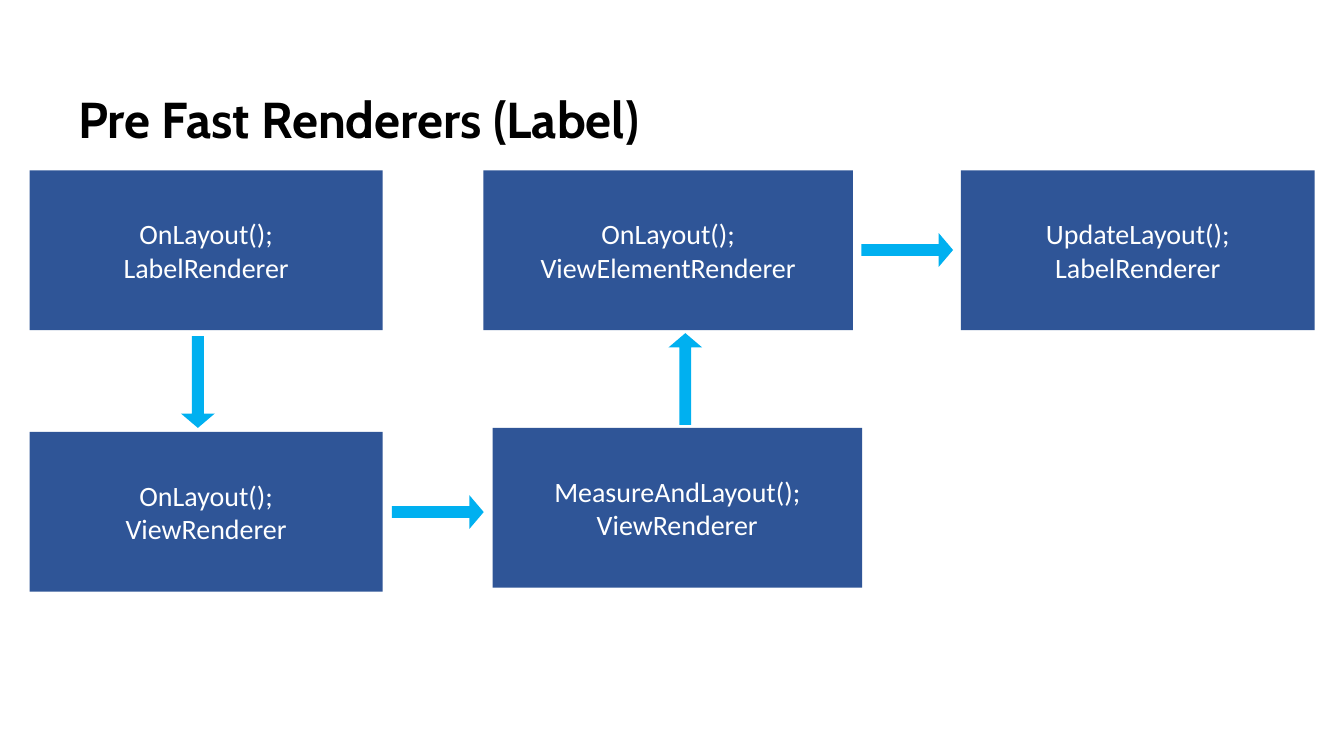
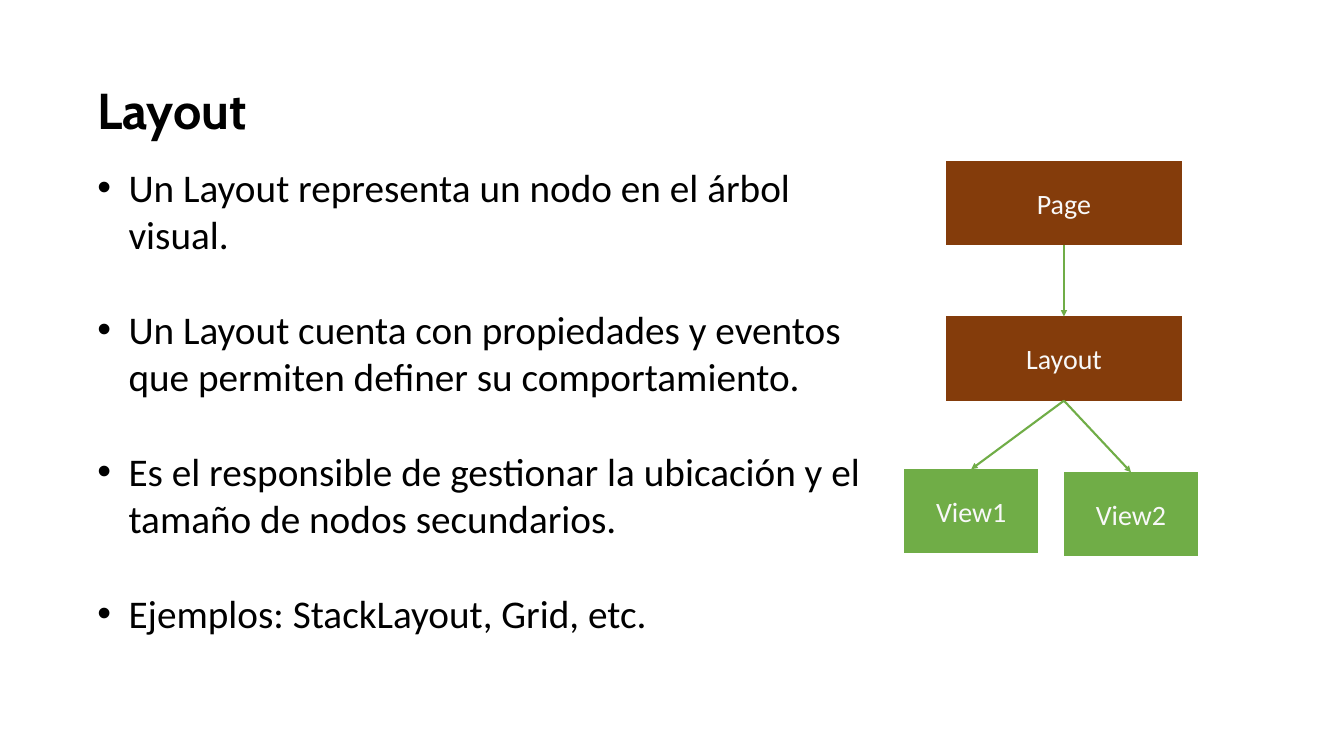
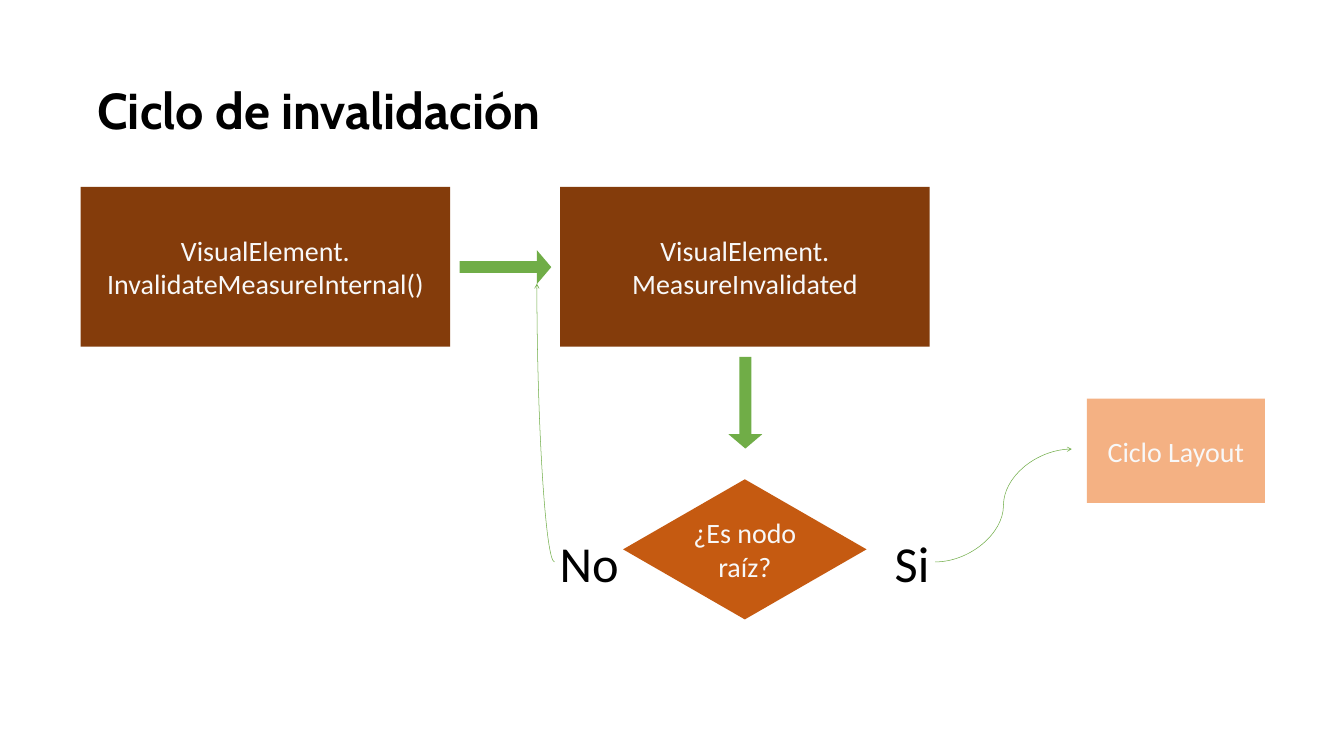
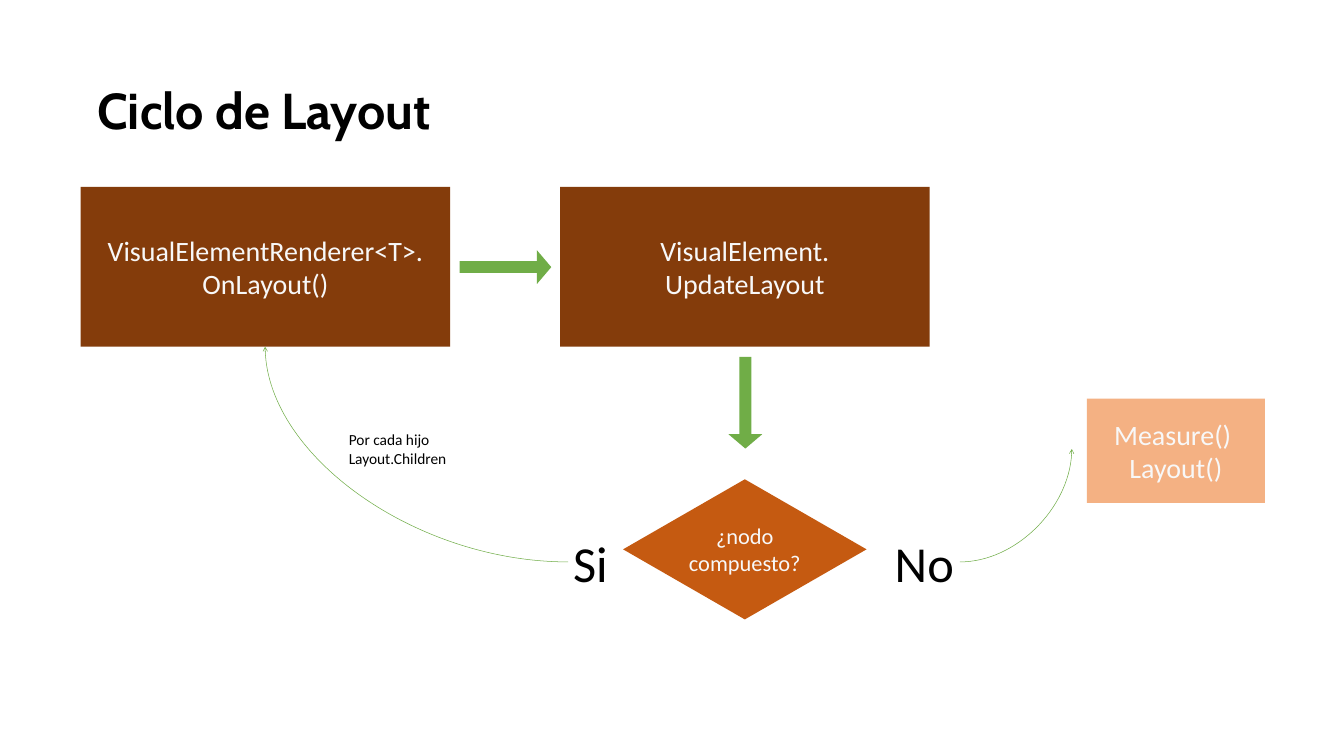
from dataclasses import dataclass

from pptx import Presentation
from pptx import util as u
from pptx.dml.color import RGBColor
from pptx.enum import shapes, text
from pptx.oxml.ns import qn
from lxml import etree

PX = 9144
KIND = shapes.MSO_SHAPE
TURN = {"up": 0, "right": 90, "down": 180}


@dataclass
class Theme:
    head: str = "Cabin"
    body: str = "Calibri"
    ink: str = "000000"
    white: str = "FFFFFF"
    pale: str = "F8F8F8"
    navy: str = "2F5597"
    sky: str = "00B0F0"
    brown: str = "843C0B"
    rust: str = "C55A11"
    peach: str = "F4B183"
    green: str = "70AD47"
    big: int = 72
    list: int = 56
    mid: int = 40
    small: int = 32
    note: int = 22


class Deck:
    def __init__(self, theme):
        self.theme = theme
        self.file = Presentation()
        self.file.slide_width = 2666 * PX
        self.file.slide_height = 1500 * PX
        self.slide = None

    def place(self, item, area):
        item.left, item.top, item.width, item.height = (n * PX for n in area)

    def style(self, frame, size, color, align=None, font=None, bold=False):
        for para in frame.paragraphs:
            para.alignment = align
            for run in para.runs:
                run.font.name = font or self.theme.body
                run.font.size = u.Pt(size)
                run.font.bold = bold
                run.font.color.rgb = RGBColor.from_string(color)

    def page(self, title, area=(183, 80, 2300, 290), layout=5):
        self.slide = self.file.slides.add_slide(self.file.slide_layouts[layout])
        head = self.slide.shapes.title
        self.place(head, area)
        frame = head.text_frame
        frame.text = title
        frame.auto_size = text.MSO_AUTO_SIZE.NONE
        frame.vertical_anchor = text.MSO_ANCHOR.MIDDLE
        frame.paragraphs[0].line_spacing = 0.9
        self.style(frame, self.theme.big, self.theme.ink,
                   text.PP_ALIGN.LEFT, self.theme.head, True)

    def items(self, lines, area):
        body = self.slide.placeholders[1]
        self.place(body, area)
        frame = body.text_frame
        frame.text = "\n".join(lines)
        frame.auto_size = text.MSO_AUTO_SIZE.NONE
        for i, para in enumerate(frame.paragraphs):
            props = para._p.get_or_add_pPr()
            props.set("marL", str(62 * PX))
            props.set("indent", str(-62 * PX))
            para.space_before = u.Pt(68.4 if i else 0)
        self.style(frame, self.theme.list, self.theme.ink, text.PP_ALIGN.LEFT)

    def shape(self, kind, area, fill):
        item = self.slide.shapes.add_shape(kind, *(n * PX for n in area))
        item.shadow.inherit = False
        item.fill.solid()
        item.fill.fore_color.rgb = RGBColor.from_string(fill)
        item.line.fill.background()
        return item

    def box(self, words, area, fill, color=None, kind=KIND.RECTANGLE, size=None):
        item = self.shape(kind, area, fill)
        frame = item.text_frame
        frame.margin_left = frame.margin_right = 0
        frame.margin_top = frame.margin_bottom = 10 * PX
        frame.word_wrap = True
        frame.vertical_anchor = text.MSO_ANCHOR.MIDDLE
        frame.text = words
        self.style(frame, size or self.theme.mid, color or self.theme.pale,
                   text.PP_ALIGN.CENTER)
        return item

    def arrow(self, left, top, way, fill):
        item = self.shape(KIND.UP_ARROW, (left, top, 67, 182), fill)
        item.adjustments[0] = 0.35
        item.adjustments[1] = 0.425
        item.rotation = TURN[way]

    def label(self, words, area, size, wrap=False):
        item = self.slide.shapes.add_textbox(*(n * PX for n in area))
        frame = item.text_frame
        frame.word_wrap = wrap
        frame.text = words
        self.style(frame, size, self.theme.ink)

    def wire(self, kind, ends, width, tip):
        line = self.slide.shapes.add_connector(kind, *(n * PX for n in ends))
        line.line.color.rgb = RGBColor.from_string(self.theme.green)
        line.line.width = u.Pt(width)
        etree.SubElement(line.line._get_or_add_ln(), qn("a:tailEnd"), type=tip)
        etree.SubElement(line._element.spPr, qn("a:effectLst"))
        return line

    def link(self, top, low):
        line = self.wire(shapes.MSO_CONNECTOR.STRAIGHT, (0, 0, 0, 0), 3, "triangle")
        line.begin_connect(top, 2)
        line.end_connect(low, 0)

    def curve(self, ends, bend=True):
        line = self.wire(shapes.MSO_CONNECTOR.CURVE, ends, 0.75, "arrow")
        if bend:
            line._element.spPr.find(qn("a:prstGeom")).set("prst", "curvedConnector2")


def render(deck):
    t = deck.theme
    deck.page("Pre Fast Renderers (Label)", (145, 144, 2549, 197))
    for words, left, top, width in (
        ("OnLayout();\nLabelRenderer", 59, 338, 700),
        ("OnLayout();\nViewRenderer", 59, 857, 700),
        ("MeasureAndLayout();\nViewRenderer", 977, 849, 733),
        ("OnLayout();\nViewElementRenderer", 959, 338, 733),
        ("UpdateLayout();\nLabelRenderer", 1906, 338, 702),
    ):
        deck.box(words, (left, top, width, 317), t.navy, t.white)
    for left, top, way in ((359, 667, "down"), (835, 925, "right"),
                           (1326, 661, "up"), (1766, 405, "right")):
        deck.arrow(left, top, way, t.sky)


def tree(deck):
    t = deck.theme
    deck.page("Layout", layout=1)
    deck.items((
        "Un Layout representa un nodo en el árbol visual.",
        "Un Layout cuenta con propiedades y eventos que permiten definer su comportamiento.",
        "Es el responsible de gestionar la ubicación y el tamaño de nodos secundarios.",
        "Ejemplos: StackLayout, Grid, etc.",
    ), (183, 319, 1545, 1033))
    root, node, one, two = (
        deck.box(words, (left, top, width, 167), fill, kind=KIND.FLOWCHART_PROCESS)
        for words, left, top, width, fill in (
            ("Page", 1877, 319, 467, t.brown),
            ("Layout", 1877, 628, 467, t.brown),
            ("View1", 1793, 931, 267, t.green),
            ("View2", 2110, 937, 267, t.green),
        ))
    for top, low in ((root, node), (node, one), (node, two)):
        deck.link(top, low)


def cycle(deck, title, steps, ask, size, goal, tags):
    t = deck.theme
    deck.page(title)
    for words, left in zip(steps, (160, 1111)):
        deck.box(words, (left, 371, 733, 317), t.brown)
    deck.arrow(969, 439, "right", t.green)
    deck.arrow(1445, 708, "down", t.green)
    deck.box(ask, (1236, 951, 483, 278), t.rust, kind=KIND.FLOWCHART_DECISION, size=size)
    deck.box(goal, (2156, 791, 353, 207), t.peach)
    for words, left, width in tags:
        deck.label(words, (left, 1050, width, 131), t.big)


def main():
    t = Theme()
    deck = Deck(t)
    render(deck)
    tree(deck)

    cycle(deck, "Ciclo de invalidación",
          ("VisualElement.\nInvalidateMeasureInternal()",
           "VisualElement.\nMeasureInvalidated"),
          "¿Es nodo raíz?", t.mid, "Ciclo Layout",
          (("No", 1100, 139), ("Si", 1765, 90)))
    deck.curve((1100, 1115, 1065, 563))
    deck.curve((1855, 1115, 2126, 891), bend=False)

    cycle(deck, "Ciclo de Layout",
          ("VisualElementRenderer<T>.\nOnLayout()",
           "VisualElement.\nUpdateLayout"),
          "¿nodo compuesto?", t.small, "Measure() \vLayout()",
          (("Si", 1127, 90), ("No", 1765, 139)))
    deck.curve((1127, 1115, 526, 688))
    deck.curve((1904, 1115, 2126, 891))
    deck.label("Por cada hijo\nLayout.Children", (682, 849, 254, 84), t.note, True)

    deck.file.save("out.pptx")


if __name__ == "__main__":
    main()
